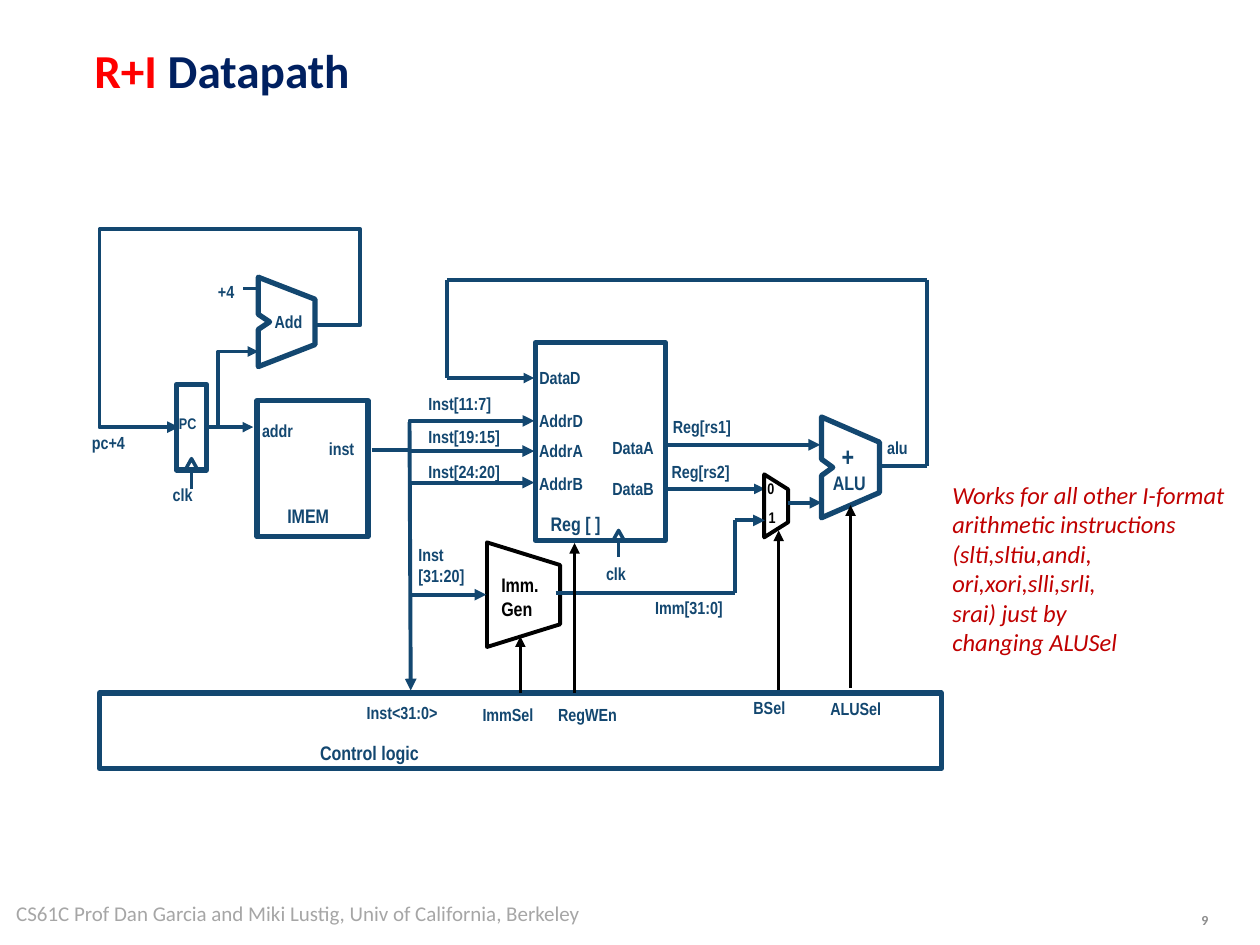
import pptx
import pptx.util
from pptx.dml.color import RGBColor
from pptx.enum.shapes import MSO_CONNECTOR, MSO_SHAPE
from pptx.enum.text import MSO_ANCHOR, MSO_AUTO_SIZE, PP_ALIGN
from pptx.oxml.ns import qn
from lxml import etree

W, H = 10, 7.5
BLUE, BLACK, WHITE = "134770", "000000", "FFFFFF"
NARROW, SANS = "Arial Narrow", "Calibri"

# Shared positions: buses and rows of the datapath
BUS_X = 3.25            # instruction bus
REG_X = 4.24            # left side of the register file
BACK_X, BACK_Y = 7.36, 2.22   # write-back loop
PC_Y, IMM_Y, CTRL_Y = 3.39, 4.71, 5.5
SMALL, MEDIUM, TINY = 10, 11.2, 8.8
SLACK = 0.06            # spare label width, so that no label wraps

# name: (shape, left, top, width, height, fill, line colour, line width, rotation, adjustment)
RECT, TRAP = MSO_SHAPE.RECTANGLE, MSO_SHAPE.TRAPEZOID
BLOCKS = {
    "Reg": (RECT, 4.25, 2.72, 1.03, 1.57, WHITE, BLUE, 3, 0, None),
    "Control": (RECT, 0.79, CTRL_Y, 6.68, 0.6, None, BLUE, 3, 0, None),
    "Mux": (TRAP, 5.91, 3.92, 0.5, 0.19, WHITE, BLACK, 2.25, 90, 0.63),
    "ImmGen": (TRAP, 3.74, 4.43, 0.83, 0.58, None, BLACK, 2.25, 90, 0.31),
    "IMEM": (RECT, 2.04, 3.18, 0.88, 1.08, WHITE, BLUE, 3, 0, None),
    "PC": (RECT, 1.4, 3.05, 0.24, 0.68, WHITE, BLUE, 3, 0, None),
}

# Notched adders: left, top, width, height, notch depth, slope at right, notch half height
ADDERS = [
    (6.52, 3.31, 0.46, 0.8, 0.09, 0.2, 0.065),
    (2.05, 2.2, 0.45, 0.71, 0.09, 0.175, 0.06),
]

# Clock wedges: centre, base, stem end, stem width
CLOCKS = [(4.91, 4.3, 4.42, 2), (1.52, 3.73, 3.88, 2.25)]

# Bent wires: points, width, arrowhead
BENT = [
    ([(2.51, 2.58), (2.86, 2.58), (2.86, 1.82), (0.79, 1.82), (0.79, PC_Y), (1.42, PC_Y)], 2.25, True),
    ([(1.73, PC_Y), (1.73, 2.79), (2.05, 2.79)], 2, True),
    ([(BUS_X, 3.59), (BUS_X, 3.34), (REG_X, 3.34)], 2.25, True),
]

# The wire from DataB starts under the register file
DATA_B = ((4.7, 3.88), (6.07, 3.88), 2, True)

# Straight wires: from, to, width, arrowhead, colour, (block, side) joined at the start
WIRES = [
    ((2.95, 3.57), (BUS_X, 3.57), 2.25, False, BLUE, None),
    ((1.93, 2.29), (2.04, 2.29), 2.25, False, BLUE, None),
    ((1.64, PC_Y), (2.01, PC_Y), 2, True, BLUE, ("PC", 3)),
    ((BUS_X, 3.35), (3.26, 5.48), 2.25, True, BLUE, None),
    ((BUS_X, 3.58), (REG_X, 3.58), 2.25, True, BLUE, None),
    ((BUS_X, 3.83), (REG_X, 3.83), 2.25, True, BLUE, None),
    ((3.27, 4.72), (3.86, 4.72), 2.25, True, BLUE, None),
    ((5.29, 3.53), (6.51, 3.53), 2.25, True, BLUE, None),
    ((6.25, 3.99), (6.52, 3.99), 2.25, True, BLUE, None),
    ((6.96, 3.7), (BACK_X, 3.7), 2.25, False, BLUE, None),
    ((BACK_X, BACK_Y), (BACK_X, 3.7), 2.25, False, BLUE, None),
    ((3.55, BACK_Y), (BACK_X, BACK_Y), 2.25, False, BLUE, None),
    ((3.55, BACK_Y), (3.55, 3), 2.25, False, BLUE, None),
    ((3.55, 3), (REG_X, 3), 2, True, BLUE, None),
    ((4.41, IMM_Y), (5.83, IMM_Y), 2.25, False, BLUE, None),
    ((5.83, 4.13), (5.83, IMM_Y), 2.25, False, BLUE, None),
    ((5.83, 4.13), (6.07, 4.13), 2.25, True, BLUE, None),
    ((4.13, CTRL_Y), (4.13, 5.05), 2, True, BLACK, ("Control", 0)),
    ((4.56, CTRL_Y), (4.56, 4.31), 2, True, BLACK, None),
    ((6.18, 5.48), (6.18, 4.21), 2, True, BLACK, None),
    ((6.75, 5.46), (6.75, 4.01), 2, True, BLACK, None),
]

# Labels by size: text, left, top, width
LABELS = {
    SMALL: [
        ("+4", 1.68, 2.21, 0.22), ("Add", 2.13, 2.45, 0.32), ("pc+4", 0.68, 3.41, 0.36),
        ("clk", 1.32, 3.82, 0.25), ("addr", 2.03, 3.31, 0.34), ("inst", 2.56, 3.46, 0.3),
        ("Inst[11:7]", 3.35, 3.1, 0.6), ("Inst[19:15]", 3.35, 3.36, 0.67),
        ("Inst[24:20]", 3.35, 3.64, 0.67), ("Inst\v[31:20]", 3.27, 4.3, 0.46),
        ("DataD", 4.23, 2.89, 0.42), ("AddrD", 4.23, 3.23, 0.44),
        ("AddrA", 4.23, 3.47, 0.44), ("AddrB", 4.23, 3.73, 0.44),
        ("DataA", 4.81, 3.45, 0.42), ("DataB", 4.81, 3.77, 0.42), ("clk", 4.76, 4.45, 0.25),
        ("Reg[rs1]", 5.29, 3.28, 0.56), ("Reg[rs2]", 5.28, 3.64, 0.56),
        ("Imm[31:0]", 5.15, 4.72, 0.63), ("alu", 6.99, 3.45, 0.26),
        ("Inst<31:0>", 2.86, 5.55, 0.66), ("ImmSel", 3.78, 5.57, 0.5),
        ("RegWEn", 4.38, 5.57, 0.57), ("BSel", 5.93, 5.51, 0.35), ("ALUSel", 6.54, 5.52, 0.5),
    ],
    MEDIUM: [("IMEM", 2.23, 3.98, 0.43), ("Reg [ ]", 4.32, 4.04, 0.5),
             ("ALU", 6.56, 3.72, 0.36), ("Control logic", 2.49, 5.86, 0.89)],
    TINY: [("PC", 1.37, 3.27, 0.23)],
    15: [("+", 6.63, 3.47, 0.19)],
}
MUX_INPUTS = [("0", 6.09, 3.8, 0.09), ("1", 6.1, 4.03, 0.06)]
NOTE = ("Works for all other I-format \varithmetic instructions \v(slti,sltiu,andi,\v"
        "ori,xori,slli,srli,\vsrai) just by \vchanging ALUSel")
FOOTER = "CS61C Prof Dan Garcia and Miki Lustig, Univ of California, Berkeley"

prs = pptx.Presentation()
inch, pt = pptx.util.Inches, pptx.util.Pt
prs.slide_width, prs.slide_height = inch(W), inch(H)
s = prs.slides.add_slide(prs.slide_layouts[6])


def rgb(color):
    return RGBColor.from_string(color)


def style(shape, fill, line, width):
    shape.shadow.inherit = False
    if fill:
        shape.fill.solid()
        shape.fill.fore_color.rgb = rgb(fill)
    else:
        shape.fill.background()
    shape.line.color.rgb = rgb(line)
    shape.line.width = pt(width)


def arrow(shape):
    etree.SubElement(shape.line._get_or_add_ln(), qn("a:tailEnd"), type="triangle")


def outline(points, width, fill=None, close=False, head=False):
    xy = [(inch(x), inch(y)) for x, y in points]
    builder = s.shapes.build_freeform(*xy[0], scale=1.0)
    builder.add_line_segments(xy[1:], close=close)
    shape = builder.convert_to_shape()
    style(shape, fill, BLUE, width)
    if head:
        arrow(shape)


def wire(start, end, width, head=False, color=BLUE, joint=None):
    c = s.shapes.add_connector(MSO_CONNECTOR.STRAIGHT, *map(inch, start + end))
    c.line.color.rgb, c.line.width = rgb(color), pt(width)
    if head:
        arrow(c)
    etree.SubElement(c._element.spPr, qn("a:effectLst"))
    if joint:
        c.begin_connect(blocks[joint[0]], joint[1])


def text(content, x, y, w, h, size, color=BLUE, font=NARROW, bold=True, italic=False,
         inset=(0.05, 0.02), wrap=False, anchor=MSO_ANCHOR.TOP, align=PP_ALIGN.LEFT, spacing=None):
    """Content is a string, or a list of (string, colour) runs; \\n starts a paragraph, \\v a line."""
    tf = s.shapes.add_textbox(*map(inch, (x, y, w, h))).text_frame
    tf.word_wrap, tf.vertical_anchor = wrap, anchor
    tf.auto_size = MSO_AUTO_SIZE.NONE if wrap else MSO_AUTO_SIZE.SHAPE_TO_FIT_TEXT
    tf.margin_left = tf.margin_right = inch(inset[0])
    tf.margin_top = tf.margin_bottom = inch(inset[1])
    runs = [(content, color)] if isinstance(content, str) else content
    p = tf.paragraphs[0]
    for string, run_color in runs:
        for i, part in enumerate(string.split("\n")):
            p = tf.add_paragraph() if i else p
            p.alignment, p.line_spacing = align, spacing
            for j, line in enumerate(part.split("\v")):
                if j:
                    p.add_line_break()
                r = p.add_run()
                r.text = line
                r.font.name, r.font.size = font, pt(size)
                r.font.bold, r.font.italic = bold, italic
                r.font.color.rgb = rgb(run_color)


# Blocks
wire(*DATA_B)
blocks = {}
for name, (kind, x, y, w, h, fill, line, width, turn, adj) in BLOCKS.items():
    block = blocks[name] = s.shapes.add_shape(kind, *map(inch, (x, y, w, h)))
    style(block, fill, line, width)
    block.rotation = turn
    if adj:
        block.adjustments[0] = adj
for x, y, w, h, notch, slope, half in ADDERS:
    mid = y + h / 2
    outline([(x, y), (x, mid - half), (x + notch, mid), (x, mid + half), (x, y + h),
             (x + w, y + h - slope), (x + w, y + slope)], 3, fill=WHITE, close=True)

# Clock inputs and wires
for x, base, end, width in CLOCKS:
    outline([(x - 0.05, base), (x, base - 0.09), (x + 0.05, base)], 2)
    wire((x, base), (x, end), width)
for points, width, head in BENT:
    outline(points, width, head=head)
for args in WIRES:
    wire(*args)

# Labels
for size, labels in LABELS.items():
    for label, x, y, w in labels:
        text(label, x, y, w + SLACK, 0.04 + size * (1 + label.count("\v")) * 0.017, size)
for label, x, y, w in MUX_INPUTS:
    text(label, x, y, w, 0.15, TINY, color=BLACK, inset=(0, 0))
text("Imm.\nGen", 3.88, 4.5, 0.51, 0.48, MEDIUM, color=BLACK, inset=(0.1, 0.05))

# Title, note, footer and slide number
frame = dict(font=SANS, inset=(0.1, 0.05), wrap=True)
text([("R+I ", "FF0000"), ("Datapath", "002060")], 0.65, 0.27, 8.41, 0.63, 27,
     anchor=MSO_ANCHOR.MIDDLE, spacing=0.9, **frame)
text(NOTE, 7.46, 3.76, 2.45, 1.51, 14, color="C00000", bold=False, italic=True, **frame)
text(FOOTER, 0.03, 7.05, 5.74, 0.39, 12, color="A6A6A6", bold=False,
     anchor=MSO_ANCHOR.MIDDLE, **frame)
text("9", 9.06, 7.1, 0.63, 0.4, 7.9, color="8C8C8C", anchor=MSO_ANCHOR.MIDDLE,
     align=PP_ALIGN.RIGHT, **frame)

prs.save("out.pptx")
